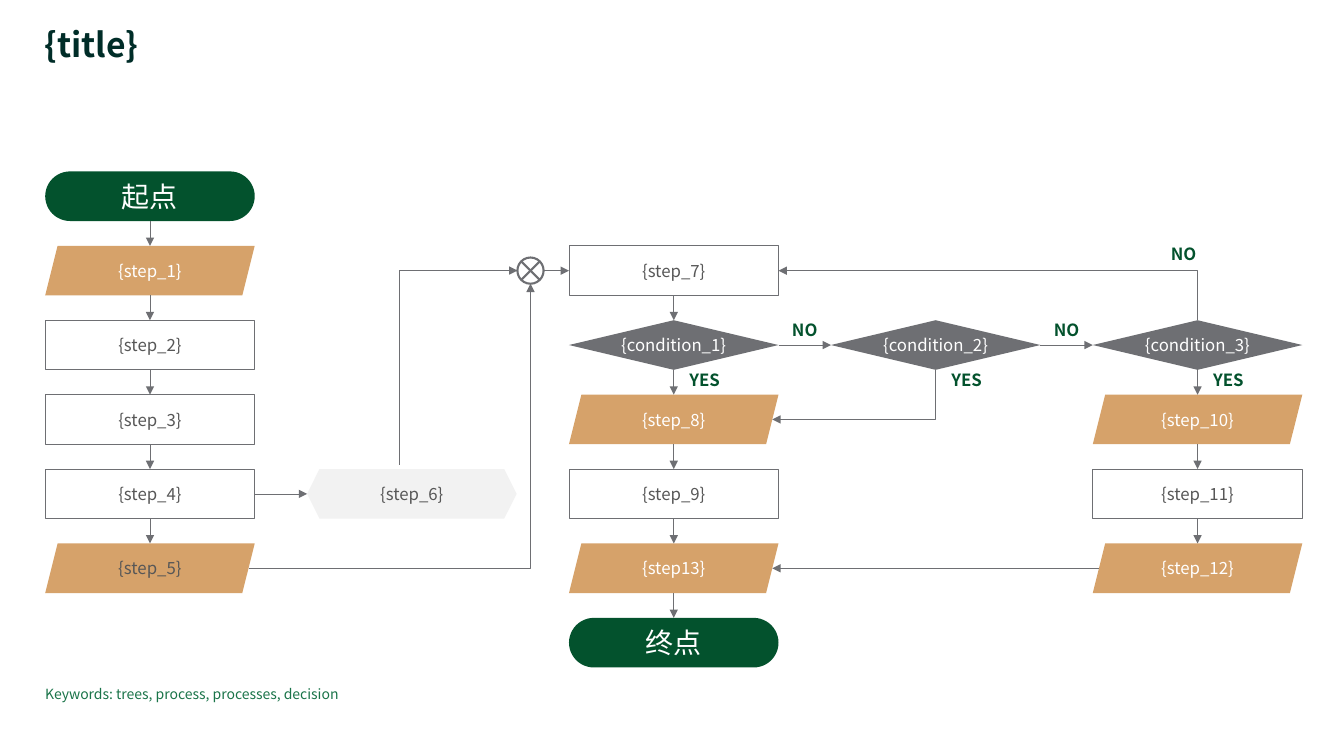
import pptx
import pptx.util
import pptx.dml.color
import pptx.enum.shapes
import pptx.enum.text
import pptx.oxml.ns
from lxml import etree

Cm, Pt, qn = pptx.util.Cm, pptx.util.Pt, pptx.oxml.ns.qn
SHAPE = pptx.enum.shapes.MSO_SHAPE
LINK = pptx.enum.shapes.MSO_CONNECTOR
ALIGN = pptx.enum.text.PP_ALIGN
ANCHOR = pptx.enum.text.MSO_ANCHOR

# Content
TITLE = "{title}"
KEYWORDS = "Keywords: trees, process, processes, decision"
FONT = "Noto Sans CJK JP"
GREEN, GREY, TEXT, WHITE = "03522D", "6E6F73", "575757", "FFFFFF"

# kind: preset, fill, line, text colour, text size
KINDS = {
    "end": (SHAPE.ROUNDED_RECTANGLE, GREEN, None, WHITE, 20),
    "step": (SHAPE.RECTANGLE, WHITE, GREY, TEXT, 12),
    "data": (SHAPE.PARALLELOGRAM, "D6A26A", None, WHITE, 12),
    "data_dark": (SHAPE.PARALLELOGRAM, "D6A26A", None, TEXT, 12),
    "prep": (SHAPE.HEXAGON, "F2F2F2", None, TEXT, 12),
    "choice": (SHAPE.DIAMOND, GREY, None, WHITE, 12),
}
# text, kind, column, row
NODES = [
    ("起点", "end", 0, 0), ("{step_1}", "data", 0, 1), ("{step_2}", "step", 0, 2),
    ("{step_3}", "step", 0, 3), ("{step_4}", "step", 0, 4), ("{step_5}", "data_dark", 0, 5),
    ("{step_6}", "prep", 1, 4),
    ("{step_7}", "step", 2, 1), ("{condition_1}", "choice", 2, 2), ("{step_8}", "data", 2, 3),
    ("{step_9}", "step", 2, 4), ("{step13}", "data", 2, 5), ("终点", "end", 2, 6),
    ("{condition_2}", "choice", 3, 2),
    ("{condition_3}", "choice", 4, 2), ("{step_10}", "data", 4, 3),
    ("{step_11}", "step", 4, 4), ("{step_12}", "data", 4, 5),
]
# chains joined from bottom side to top side
CHAINS = [
    ["起点", "{step_1}", "{step_2}", "{step_3}", "{step_4}", "{step_5}"],
    ["{step_7}", "{condition_1}", "{step_8}", "{step_9}", "{step13}", "终点"],
    ["{condition_3}", "{step_10}", "{step_11}", "{step_12}"],
]
TOP, LEFT, BOTTOM, RIGHT = range(4)
ACROSS = [
    ("{step_4}", RIGHT, "{step_6}", LEFT),
    ("{condition_1}", RIGHT, "{condition_2}", LEFT),
    ("{condition_2}", RIGHT, "{condition_3}", LEFT),
    ("{step_12}", LEFT, "{step13}", RIGHT),
]

# Grid, in centimetres
X0, Y0, BOX_W, BOX_H = 1.14, 4.32, 5.28, 1.25
COL, ROW = 6.6, 1.5 * BOX_H
SLANT = BOX_H / 8
JOIN_X, JOIN_R = 13.37, 0.33

prs = pptx.Presentation()
prs.slide_width, prs.slide_height = Cm(33.87), Cm(19.05)
s = prs.slides.add_slide(prs.slide_layouts[6])


def color(hex_text):
    return pptx.dml.color.RGBColor.from_string(hex_text)


def write(sp, text, size, hex_text, bold=False, align=ALIGN.CENTER, anchor=ANCHOR.MIDDLE, wrap=False):
    tf = sp.text_frame
    tf.margin_left = tf.margin_right = tf.margin_top = tf.margin_bottom = 0
    tf.word_wrap, tf.vertical_anchor = wrap, anchor
    p = tf.paragraphs[0]
    p.alignment = align
    r = p.add_run()
    r.text = text
    r.font.size, r.font.bold, r.font.name = Pt(size), bold, FONT
    r.font.color.rgb = color(hex_text)
    etree.SubElement(r.font._element, qn("a:ea")).set("typeface", FONT)
    return p


def center(col, row):
    return X0 + col * COL + BOX_W / 2, Y0 + row * ROW + BOX_H / 2


def side(name, n):
    kind, x, y = places[name]
    inset = SLANT if kind.startswith("data") else 0
    dx = {LEFT: inset - BOX_W / 2, RIGHT: BOX_W / 2 - inset}.get(n, 0)
    dy = {TOP: -BOX_H / 2, BOTTOM: BOX_H / 2}.get(n, 0)
    return x + dx, y + dy


def line(shapes, a, b, kind=LINK.STRAIGHT, width=0.5, arrow=True):
    c = shapes.add_connector(kind, *(Cm(v) for v in (*a, *b)))
    c.line.color.rgb, c.line.width = color(GREY), Pt(width)
    if arrow:
        etree.SubElement(c.line._get_or_add_ln(), qn("a:tailEnd")).set("type", "triangle")
    etree.SubElement(c._element.spPr, qn("a:effectLst"))
    return c


def bend(a, b, vertical_first):
    """One-corner arrow; a vertical start is a quarter turn of a horizontal one."""
    if vertical_first:
        cx, cy = (a[0] + b[0]) / 2, (a[1] + b[1]) / 2
        dx, dy = (b[0] - a[0]) / 2, (b[1] - a[1]) / 2
        a, b = (cx - dy, cy + dx), (cx + dy, cy - dx)
    c = line(s.shapes, a, b, LINK.ELBOW)
    spPr = c._element.spPr
    spPr.find(qn("a:prstGeom")).set("prst", "bentConnector2")
    if vertical_first:
        spPr.find(qn("a:xfrm")).set("rot", "5400000")


def join(name_a, side_a, name_b, side_b):
    c = line(s.shapes, side(name_a, side_a), side(name_b, side_b))
    if places[name_a][0] in ("step", "end", "choice"):
        c.begin_connect(boxes[name_a], side_a)
    if places[name_b][0] in ("step", "end", "choice"):
        c.end_connect(boxes[name_b], side_b)


def text_box(x, y, w, h):
    return s.shapes.add_textbox(Cm(x), Cm(y), Cm(w), Cm(h))


# Title and keywords
p = write(text_box(1.12, 0.71, 28.02, 0.94), TITLE, 24, "002D28", True, ALIGN.LEFT, ANCHOR.TOP, True)
p.line_spacing = 0.9
write(text_box(X0, 17.27, 7.39, 0.43), KEYWORDS, 10, "1A7449", False, ALIGN.LEFT, ANCHOR.TOP)

# Flowchart boxes
places, boxes = {}, {}
for name, kind, col, row in NODES:
    preset, fill, edge, ink, size = KINDS[kind]
    x, y = center(col, row)
    sp = s.shapes.add_shape(preset, Cm(x - BOX_W / 2), Cm(y - BOX_H / 2), Cm(BOX_W), Cm(BOX_H))
    sp.shadow.inherit = False
    sp.fill.solid()
    sp.fill.fore_color.rgb = color(fill)
    if edge:
        sp.line.color.rgb, sp.line.width = color(edge), Pt(0.5)
    else:
        sp.line.fill.background()
    if kind == "end":
        sp.adjustments[0] = 0.5
    write(sp, name, size, ink, wrap=kind != "choice")
    places[name], boxes[name] = (kind, x, y), sp

# Junction: crossed circle
join_y = center(0, 1)[1]
junction = s.shapes.add_group_shape()
ring = junction.shapes.add_shape(SHAPE.OVAL, Cm(JOIN_X - JOIN_R), Cm(join_y - JOIN_R), Cm(2 * JOIN_R), Cm(2 * JOIN_R))
ring.shadow.inherit = False
ring.fill.background()
ring.line.color.rgb, ring.line.width = color(GREY), Pt(1.5)
d = JOIN_R * 0.71
for k in (d, -d):
    line(junction.shapes, (JOIN_X - k, join_y - d), (JOIN_X + k, join_y + d), width=1.5, arrow=False)

# Straight arrows
for chain in CHAINS:
    for upper, lower in zip(chain, chain[1:]):
        join(upper, BOTTOM, lower, TOP)
for link in ACROSS:
    join(*link)
c = line(s.shapes, (JOIN_X + JOIN_R, join_y), side("{step_7}", LEFT))
c.end_connect(boxes["{step_7}"], LEFT)

# Bent arrows
bend(side("{step_5}", RIGHT), (JOIN_X, join_y + JOIN_R), False)
bend((10.06, 11.71), (JOIN_X - JOIN_R, join_y), True)
bend(side("{condition_2}", BOTTOM), side("{step_8}", RIGHT), True)
bend(side("{condition_3}", TOP), side("{step_7}", RIGHT), True)

# Branch labels, placed around the centres of the conditions
cy = center(0, 2)[1]
labels = [("YES", center(col, 2)[0] + 0.78, cy + 0.87) for col in (2, 3, 4)]
labels += [("NO", center(col, 2)[0] + COL / 2, cy - 0.38) for col in (2, 3)]
labels += [("NO", center(4, 2)[0] - 0.35, cy - 2.29)]
for text, x, y in labels:
    write(text_box(x - 0.47, y - 0.27, 0.94, 0.54), text, 12, GREEN, True)

prs.save("out.pptx")
